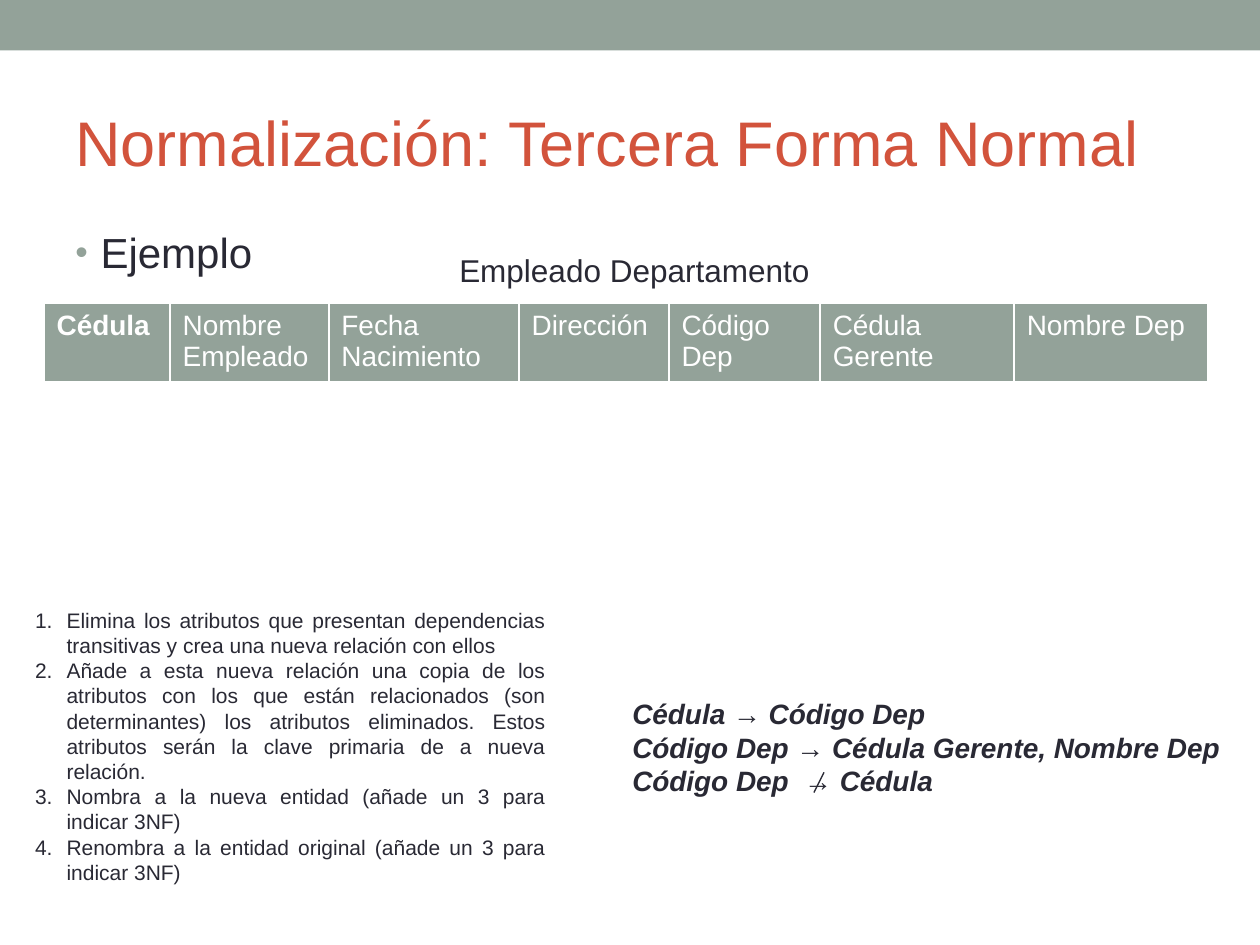
import pptx
import pptx.dml.color
import pptx.enum.shapes
import pptx.enum.text
import pptx.oxml
import pptx.oxml.ns
import pptx.util
from lxml import etree

Inches = pptx.util.Inches
RGBColor = pptx.dml.color.RGBColor
Align = pptx.enum.text.PP_ALIGN
Anchor = pptx.enum.text.MSO_ANCHOR
qn = pptx.oxml.ns.qn

SAGE = RGBColor(0x93, 0xA2, 0x99)
RUST = RGBColor(0xD2, 0x53, 0x3C)
INK = RGBColor(0x29, 0x29, 0x34)
WHITE = RGBColor(0xFF, 0xFF, 0xFF)
FONT = "Arial"

# Column heading and width in inches
COLUMNS = [
    ("Cédula", 1),
    ("Nombre Empleado", 1.26),
    ("Fecha Nacimiento", 1.51),
    ("Dirección", 1.19),
    ("Código Dep", 1.2),
    ("Cédula Gerente", 1.54),
    ("Nombre Dep", 1.54),
]
STEPS = [
    "Elimina los atributos que presentan dependencias transitivas y crea una "
    "nueva relación con ellos",
    "Añade a esta nueva relación una copia de los atributos con los que están "
    "relacionados (son determinantes) los atributos eliminados. Estos atributos "
    "serán la clave primaria de a nueva relación.",
    "Nombra a la nueva entidad (añade un 3 para indicar 3NF)",
    "Renombra a la entidad original (añade un 3 para indicar 3NF)",
]
DEPENDENCIES = [
    "Cédula → Código Dep",
    "Código Dep → Cédula Gerente, Nombre Dep",
    "Código Dep  → Cédula",
]


def format_runs(paragraph, size, color, bold=False, italic=False):
    for run in paragraph.runs:
        font = run.font
        font.name, font.size = FONT, pptx.util.Pt(size)
        font.bold, font.italic = bold, italic
        font.color.rgb = color


def add_text(slide, box, lines, size, color=INK, align=Align.LEFT,
             anchor=Anchor.TOP, bold=False, italic=False):
    frame = slide.shapes.add_textbox(*map(Inches, box)).text_frame
    frame.word_wrap = True
    frame.vertical_anchor = anchor
    frame.text = "\n".join(lines)
    for paragraph in frame.paragraphs:
        paragraph.alignment = align
        format_runs(paragraph, size, color, bold, italic)
    return frame


def add_list_marks(frame, indent, color, mark, attributes, percent=100):
    for paragraph in frame.paragraphs:
        properties = paragraph._p.get_or_add_pPr()
        properties.set("marL", str(Inches(indent)))
        properties.set("indent", str(-Inches(indent)))
        bullet_color = etree.SubElement(properties, qn("a:buClr"))
        etree.SubElement(bullet_color, qn("a:srgbClr"), val=str(color))
        etree.SubElement(properties, qn("a:buSzPct"), val=str(percent * 1000))
        etree.SubElement(properties, qn("a:buFont"), typeface=FONT)
        etree.SubElement(properties, qn(mark), **attributes)


def add_cell_borders(cell):
    properties = cell._tc.get_or_add_tcPr()
    borders = [("a:lnL", 1), ("a:lnR", 1), ("a:lnT", 1), ("a:lnB", 3)]
    for position, (side, points) in enumerate(borders):
        border = pptx.oxml.parse_xml(
            f'<{side} xmlns:a="{pptx.oxml.ns.nsuri("a:lnL".split(":")[0])}" '
            f'w="{pptx.util.Pt(points)}"><a:solidFill>'
            f'<a:srgbClr val="{WHITE}"/></a:solidFill></{side}>')
        properties.insert(position, border)


def add_entity_table(slide):
    width = sum(column_width for _, column_width in COLUMNS)
    table = slide.shapes.add_table(
        1, len(COLUMNS), Inches(0.35), Inches(2.41), Inches(width), Inches(0.57)).table
    for index, (heading, column_width) in enumerate(COLUMNS):
        table.columns[index].width = Inches(column_width)
        cell = table.cell(0, index)
        cell.text = heading
        cell.fill.solid()
        cell.fill.fore_color.rgb = SAGE
        # The primary key is the only bold heading
        format_runs(cell.text_frame.paragraphs[0], 16, WHITE, bold=index == 0)
        add_cell_borders(cell)


def add_top_band(slide):
    band = slide.shapes.add_shape(
        pptx.enum.shapes.MSO_SHAPE.RECTANGLE, 0, 0, Inches(10), Inches(0.4))
    band.shadow.inherit = False
    band.fill.solid()
    band.fill.fore_color.rgb = SAGE
    band.line.fill.background()


def add_arrow_slash(slide):
    slash = slide.shapes.add_connector(
        pptx.enum.shapes.MSO_CONNECTOR.STRAIGHT,
        Inches(6.46), Inches(6.29), Inches(6.54), Inches(6.13))
    slash.line.color.rgb = INK
    slash.line.width = pptx.util.Pt(0.75)
    etree.SubElement(slash._element.spPr, qn("a:effectLst"))


def main():
    presentation = pptx.Presentation()
    presentation.slide_width = Inches(10)
    presentation.slide_height = Inches(7.5)
    slide = presentation.slides.add_slide(presentation.slide_layouts[6])

    # Band and headings
    add_top_band(slide)
    add_text(slide, (0.5, 0.58, 9, 1.08), ["Normalización: Tercera Forma Normal"],
             36, RUST, anchor=Anchor.MIDDLE)
    example = add_text(slide, (0.5, 1.75, 9, 5.33), ["Ejemplo"], 24,
                       align=Align.JUSTIFY)
    add_list_marks(example, 0.2, SAGE, "a:buChar", {"char": "•"}, percent=85)

    # Relation to normalize
    add_entity_table(slide)
    add_text(slide, (3.5, 1.94, 3.07, 0.4), ["Empleado Departamento"], 18,
             align=Align.CENTER)

    # Steps to reach third normal form
    steps = add_text(slide, (0.18, 4.77, 4.25, 2.52), STEPS, 12, align=Align.JUSTIFY)
    add_list_marks(steps, 0.25, INK, "a:buAutoNum", {"type": "arabicPeriod"})

    # Functional dependencies, the last one struck out
    add_text(slide, (4.92, 5.48, 5.04, 1.18), DEPENDENCIES, 16,
             bold=True, italic=True)
    add_arrow_slash(slide)

    presentation.save("out.pptx")


if __name__ == "__main__":
    main()
